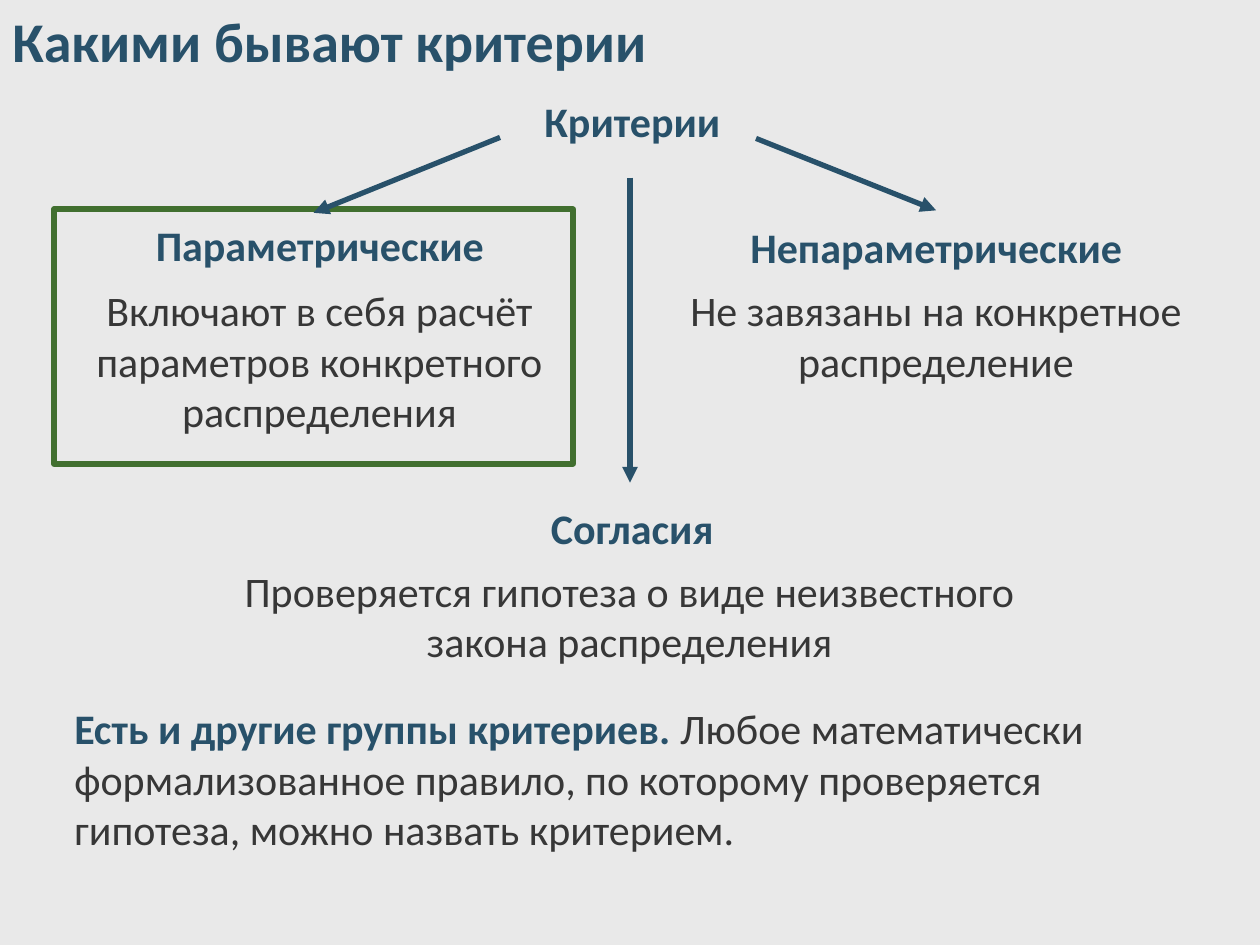
import pptx
import pptx.util
import pptx.dml.color
import pptx.enum.shapes
import pptx.enum.text
import pptx.oxml.ns
import lxml.etree

Cm = pptx.util.Cm
Pt = pptx.util.Pt
RGBColor = pptx.dml.color.RGBColor
PP_ALIGN = pptx.enum.text.PP_ALIGN
MSO_ANCHOR = pptx.enum.text.MSO_ANCHOR

BACKGROUND = RGBColor(0xE9, 0xE9, 0xE9)
BLUE = RGBColor(0x28, 0x51, 0x6A)
GRAY = RGBColor(0x37, 0x37, 0x37)
GREEN = RGBColor(0x41, 0x6F, 0x2F)
FONT = "Calibri"

TITLE = "Какими бывают критерии"
HEADINGS = [
    ("Критерии", (10.49, 1.93, 4.52, 1.02)),
    ("Согласия", (10.69, 10.16, 4.11, 0.94)),
    ("Параметрические", (2.59, 4.42, 7.72, 1.02)),
    ("Непараметрические", (14.48, 4.37, 8.79, 1.22)),
]
DESCRIPTIONS = [
    ("Проверяется гипотеза о виде неизвестного закона распределения",
     (3.99, 11.4, 17.4, 2.54)),
    ("Включают в себя расчёт параметров конкретного распределения",
     (1.32, 5.74, 10.24, 3.38)),
    ("Не завязаны на конкретное распределение", (13.69, 5.74, 10.36, 3.38)),
]
REMARK = [
    ("Есть и другие группы критериев. ", BLUE, True),
    ("Любое математически формализованное правило, по которому проверяется "
     "гипотеза, можно назвать критерием.", GRAY, False),
]
REMARK_BOX = (1.5, 14.17, 22.96, 4.17)
HIGHLIGHT_BOX = (1.09, 4.22, 10.46, 5.13)
ARROWS = [
    (10.08, 2.77, 6.32, 4.29),
    (12.7, 3.58, 12.7, 9.73),
    (15.24, 2.79, 18.87, 4.24),
]


def lengths(values):
    return [Cm(value) for value in values]


def set_margins(frame, left=0, top=0):
    frame.margin_left, frame.margin_top = Cm(left), Cm(top)
    frame.margin_right = frame.margin_bottom = 0


def add_run(paragraph, text, color, bold, size=24):
    run = paragraph.add_run()
    run.text = text
    run.font.name = FONT
    run.font.size = Pt(size)
    run.font.bold = bold
    run.font.color.rgb = color


def add_text(slide, box, runs, align, anchor):
    frame = slide.shapes.add_textbox(*lengths(box)).text_frame
    frame.word_wrap = True
    frame.vertical_anchor = anchor
    set_margins(frame)
    paragraph = frame.paragraphs[0]
    paragraph.alignment = align
    paragraph.space_after = Pt(18)
    for text, color, bold in runs:
        add_run(paragraph, text, color, bold)


def add_arrow(slide, ends):
    arrow = slide.shapes.add_connector(
        pptx.enum.shapes.MSO_CONNECTOR.STRAIGHT, *lengths(ends))
    arrow.line.color.rgb = BLUE
    arrow.line.width = Pt(3)
    qn = pptx.oxml.ns.qn
    outline = arrow.line._get_or_add_ln()
    lxml.etree.SubElement(outline, qn("a:tailEnd"), type="triangle")
    lxml.etree.SubElement(outline.getparent(), qn("a:effectLst"))


def add_title(slide):
    title = slide.shapes.title
    title.left, title.top, title.width, title.height = lengths((0, 0, 25.4, 1.73))
    frame = title.text_frame
    frame.auto_size = pptx.enum.text.MSO_AUTO_SIZE.NONE
    frame.vertical_anchor = MSO_ANCHOR.TOP
    set_margins(frame, 0.25, 0.13)
    paragraph = frame.paragraphs[0]
    paragraph.alignment = PP_ALIGN.LEFT
    add_run(paragraph, TITLE, BLUE, True, 32)


def add_highlight(slide):
    highlight = slide.shapes.add_shape(
        pptx.enum.shapes.MSO_SHAPE.RECTANGLE, *lengths(HIGHLIGHT_BOX))
    highlight.shadow.inherit = False
    highlight.fill.background()
    highlight.line.color.rgb = GREEN
    highlight.line.width = Pt(3.25)


def main():
    deck = pptx.Presentation()
    deck.slide_width, deck.slide_height = lengths((25.4, 19.05))
    slide = deck.slides.add_slide(deck.slide_layouts[5])
    slide.background.fill.solid()
    slide.background.fill.fore_color.rgb = BACKGROUND
    add_highlight(slide)
    add_title(slide)
    for text, box in HEADINGS:
        add_text(slide, box, [(text, BLUE, True)], PP_ALIGN.CENTER, MSO_ANCHOR.MIDDLE)
    for text, box in DESCRIPTIONS:
        add_text(slide, box, [(text, GRAY, False)], PP_ALIGN.CENTER, MSO_ANCHOR.TOP)
    add_text(slide, REMARK_BOX, REMARK, PP_ALIGN.LEFT, MSO_ANCHOR.TOP)
    for ends in ARROWS:
        add_arrow(slide, ends)
    deck.save("out.pptx")


if __name__ == "__main__":
    main()
